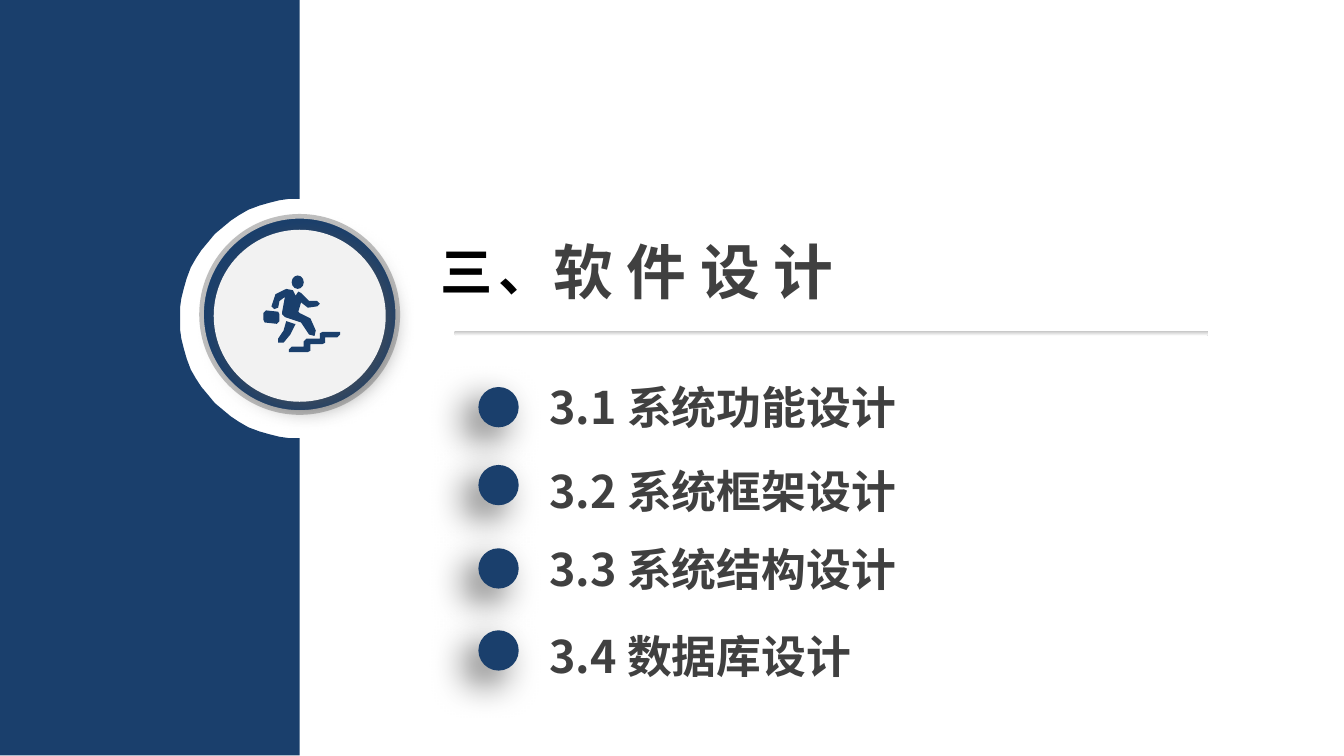
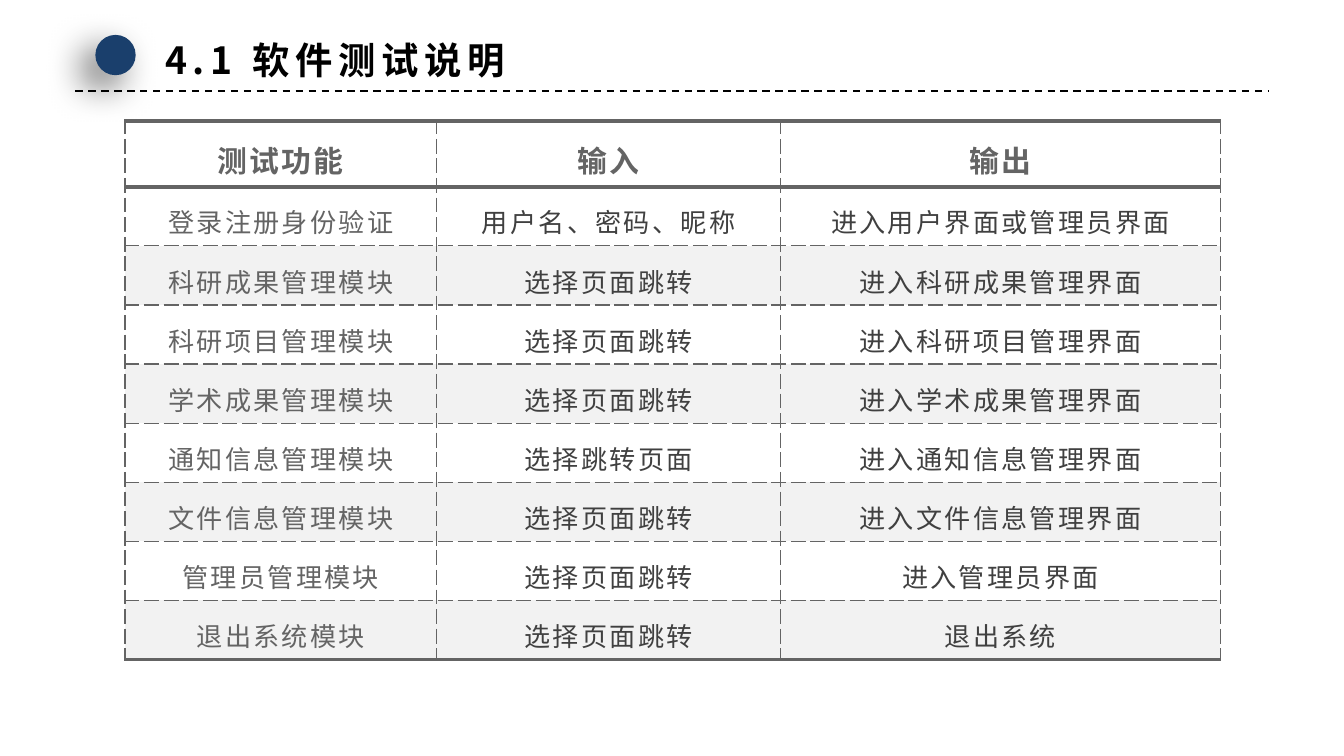
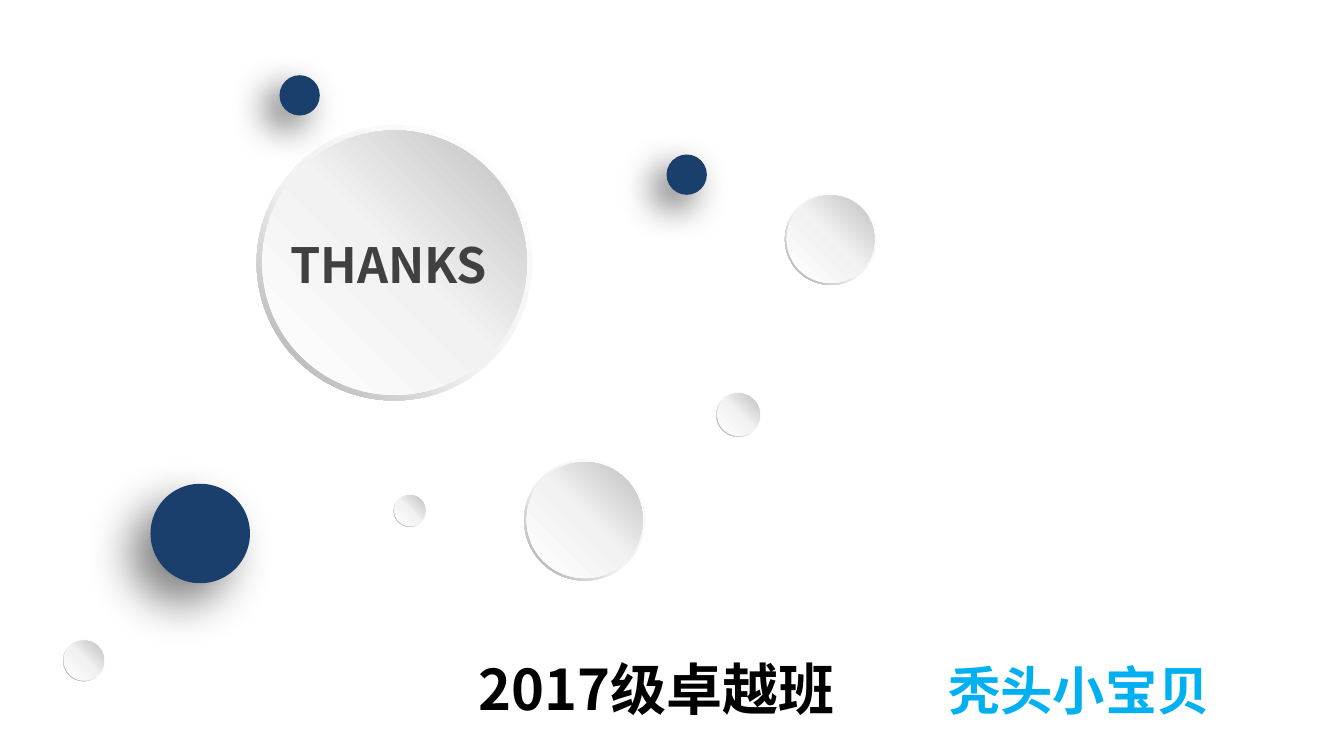
"""Builds a section opener, a test table and a closing slide."""
import math

import pptx
import pptx.dml.color
import pptx.enum.dml
import pptx.enum.shapes
import pptx.enum.text
import pptx.oxml.ns
import pptx.util
from lxml import etree

RGB = pptx.dml.color.RGBColor
SHAPE = pptx.enum.shapes.MSO_SHAPE
ALIGN = pptx.enum.text.PP_ALIGN
Pt = pptx.util.Pt
qn = pptx.oxml.ns.qn

PX = 9144
WIDTH, HEIGHT = 1000, 562
FONT = "Noto Sans CJK SC"

NAVY = RGB(0x1A, 0x3F, 0x6C)
WHITE = RGB(0xFF, 0xFF, 0xFF)
PALE = RGB(0xF2, 0xF2, 0xF2)
SILVER = RGB(0xBF, 0xBF, 0xBF)
STEEL = RGB(0xA6, 0xA6, 0xA6)
GREY = RGB(0x64, 0x64, 0x64)
DARK = RGB(0x40, 0x40, 0x40)
SHADE = RGB(0x52, 0x52, 0x52)
BLACK = RGB(0, 0, 0)
SKY = RGB(0x00, 0xB0, 0xF0)

DOT = 30
DOT_SHADOW = (BLACK, 60, 20, 10, 135)
LARGE_DOT_SHADOW = (BLACK, 50, 25, 15, 135)
MEDAL_SHADOW = (SHADE, 64, 12, 5, 45)
RIM = [(0, WHITE), (55, PALE), (100, STEEL)]
FACE = [(0, WHITE), (51, PALE), (100, SILVER)]

BAND_RIGHT = 223
BAY_MIDDLE, BAY_RADIUS = 237, 89
SECTIONS = [
    ("3.1 系统功能设计", 288, 278),
    ("3.2 系统框架设计", 346, 340),
    ("3.3 系统结构设计", 408, 398),
    ("3.4 数据库设计", 469, 463),
]
HEAD = (217, 205, 9, 10)
STAIRS = [
    (217, 258), (226, 258), (226, 254), (228, 252), (238, 252), (238, 248),
    (240, 247), (253, 247), (253, 249), (251, 251), (242, 251), (242, 255),
    (240, 256), (231, 256), (231, 261), (229, 262), (215, 262), (215, 260),
]
BRIEFCASE = [
    (197, 240), (206, 241), (208, 239), (208, 234),
    (207, 232), (198, 231), (196, 233), (196, 238),
]
BACK_LEG = [
    (207, 252), (211, 246), (213, 239), (219, 241),
    (220, 241), (216, 249), (211, 255), (207, 255),
]
BODY = [
    (222, 217), (224, 218), (230, 224), (236, 224), (238, 226), (236, 228),
    (229, 229), (224, 225), (222, 232), (223, 233), (231, 237), (235, 246),
    (234, 250), (230, 249), (224, 240), (212, 236), (210, 234), (210, 232),
    (212, 221), (208, 224), (207, 229), (204, 230), (202, 228), (205, 219),
    (213, 215), (218, 216), (220, 220),
]

COLUMNS = [232, 256, 327]
HEADER_HEIGHT, ROW_HEIGHT = 49, 44
TESTS = [
    ("测试功能", "输入", "输出"),
    ("登录注册身份验证", "用户名、密码、昵称", "进入用户界面或管理员界面"),
    ("科研成果管理模块", "选择页面跳转", "进入科研成果管理界面"),
    ("科研项目管理模块", "选择页面跳转", "进入科研项目管理界面"),
    ("学术成果管理模块", "选择页面跳转", "进入学术成果管理界面"),
    ("通知信息管理模块", "选择跳转页面", "进入通知信息管理界面"),
    ("文件信息管理模块", "选择页面跳转", "进入文件信息管理界面"),
    ("管理员管理模块", "选择页面跳转", "进入管理员界面"),
    ("退出系统模块", "选择页面跳转", "退出系统"),
]

BUTTONS = [
    (191, 93, 205), (533, 292, 33), (584, 144, 68),
    (293, 368, 24), (47, 476, 31), (390, 342, 90),
]
CLOSING_DOTS = [
    (112, 360, 74, LARGE_DOT_SHADOW),
    (208, 56, DOT, DOT_SHADOW),
    (496, 115, DOT, DOT_SHADOW),
]


def emu(*lengths):
    return [pptx.util.Emu(round(length * PX)) for length in lengths]


def add_tag(parent, tag, **attributes):
    return etree.SubElement(parent, qn(tag), {k: str(v) for k, v in attributes.items()})


def paint(shape, color, shadow=None):
    shape.fill.solid()
    shape.fill.fore_color.rgb = color
    shape.line.fill.background()
    shape.shadow.inherit = False
    if shadow:
        tint, opacity, blur, distance, angle = shadow
        effects = shape._element.spPr.find(qn("a:effectLst"))
        outer = add_tag(effects, "a:outerShdw", blurRad=Pt(blur), dist=Pt(distance),
                        dir=angle * 60000, algn="ctr", rotWithShape=0)
        add_tag(add_tag(outer, "a:srgbClr", val=tint), "a:alpha", val=opacity * 1000)


def shade(shape, stops, angle):
    shape.fill.gradient()
    shape.fill.gradient_angle = 360 - angle
    stop_list = shape._element.spPr.find(qn("a:gradFill")).find(qn("a:gsLst"))
    for stop in list(stop_list):
        stop_list.remove(stop)
    for position, color in stops:
        stop = add_tag(stop_list, "a:gs", pos=position * 1000)
        add_tag(stop, "a:srgbClr", val=color)


def add_figure(page, kind, frame, color=WHITE, shadow=None):
    shape = page.shapes.add_shape(kind, *emu(*frame))
    paint(shape, color, shadow)
    return shape


def add_outline(page, contours):
    builder = None
    for first, *others in contours:
        if builder is None:
            builder = page.shapes.build_freeform(*first, scale=PX)
        else:
            builder.move_to(*first)
        builder.add_line_segments(others, close=True)
    paint(builder.convert_to_shape(), NAVY)


def add_dot(page, left, top, size=DOT, shadow=DOT_SHADOW):
    add_figure(page, SHAPE.OVAL, (left, top, size, size), NAVY, shadow)


def set_font(font, size, color, bold=True, spacing=0):
    font.size = Pt(size)
    font.bold = bold
    font.color.rgb = color
    font.name = FONT
    add_tag(font._element, "a:ea", typeface=FONT)
    if spacing:
        font._element.set("spc", str(round(spacing * 100)))


def add_text(page, frame, text, size, color, spacing=0, wrap=True, inset=(10, 5)):
    box = page.shapes.add_textbox(*emu(*frame))
    area = box.text_frame
    area.word_wrap = wrap
    area.auto_size = pptx.enum.text.MSO_AUTO_SIZE.SHAPE_TO_FIT_TEXT
    area.margin_left, area.margin_top = area.margin_right, area.margin_bottom = emu(*inset)
    para = area.paragraphs[0]
    para.text = text
    set_font(para.font, size, color, spacing=spacing)


def build_section(page):
    add_figure(page, SHAPE.OVAL, (125, 137, 196, 196))
    ring = add_figure(page, SHAPE.OVAL, (150, 161, 146, 146), NAVY)
    ring.line.color.rgb = SILVER
    ring.line.width = Pt(2.5)
    add_figure(page, SHAPE.OVAL, (159, 171, 128, 128), PALE, MEDAL_SHADOW)

    turns = [math.radians(degrees) for degrees in range(0, 181, 5)]
    bay = [(BAND_RIGHT - BAY_RADIUS * math.sin(turn), BAY_MIDDLE - BAY_RADIUS * math.cos(turn))
           for turn in turns]
    add_outline(page, [[(0, 0), (BAND_RIGHT, 0), *bay, (BAND_RIGHT, HEIGHT), (0, HEIGHT)]])

    rule = add_figure(page, SHAPE.ROUNDED_RECTANGLE, (338, 246, 561, 4))
    rule.adjustments[0] = 0.5
    shade(rule, [(0, SILVER), (100, WHITE)], 90)
    add_text(page, (321, 174, 394, 55), "三、", 28, BLACK, spacing=3, inset=(7, 4))
    add_text(page, (402, 170, 590, 64), "软 件 设 计", 32, DARK)

    add_outline(page, [STAIRS])
    add_outline(page, [BRIEFCASE, BACK_LEG, BODY])
    add_figure(page, SHAPE.OVAL, HEAD, NAVY)
    for text, dot_top, text_top in SECTIONS:
        add_dot(page, 356, dot_top)
        add_text(page, (399, text_top, 319, 50), text, 24, DARK)


def set_borders(cell, heavy_top, heavy_bottom):
    properties = cell._tc.get_or_add_tcPr()
    sides = {"L": False, "R": False, "T": heavy_top, "B": heavy_bottom}
    for side, heavy in sides.items():
        line = add_tag(properties, "a:ln" + side, w=Pt(2.25 if heavy else 0.75))
        add_tag(add_tag(line, "a:solidFill"), "a:srgbClr", val=GREY)
        add_tag(line, "a:prstDash", val="solid" if heavy else "sysDash")


def fill_cell(cell, text, row, column):
    header = row == 0
    set_borders(cell, row < 2, row in (0, len(TESTS) - 1))
    cell.fill.solid()
    cell.fill.fore_color.rgb = PALE if row and row % 2 == 0 else WHITE
    cell.vertical_anchor = pptx.enum.text.MSO_ANCHOR.MIDDLE
    cell.margin_left, cell.margin_top = cell.margin_right, cell.margin_bottom = emu(19, 6)
    para = cell.text_frame.paragraphs[0]
    para.text = text
    para.alignment = ALIGN.CENTER
    para.line_spacing = 1.2
    color = GREY if header or column == 0 else DARK
    set_font(para.font, 16 if header else 14, color, bold=header, spacing=1.2)


def build_tests(page):
    rule = page.shapes.add_connector(pptx.enum.shapes.MSO_CONNECTOR.STRAIGHT,
                                     *emu(56, 68, 944, 68))
    rule.line.color.rgb = BLACK
    rule.line.width = Pt(1)
    rule.line.dash_style = pptx.enum.dml.MSO_LINE.DASH
    add_tag(rule._element.spPr, "a:effectLst")
    add_dot(page, 71, 26)
    add_text(page, (113, 23, 285, 44), "4.1 软件测试说明", 20, BLACK, spacing=3, wrap=False)

    heights = [HEADER_HEIGHT] + [ROW_HEIGHT] * (len(TESTS) - 1)
    table = page.shapes.add_table(len(TESTS), len(COLUMNS),
                                  *emu(93, 90, sum(COLUMNS), sum(heights))).table
    table.first_row = table.horz_banding = False
    for column, width in zip(table.columns, COLUMNS):
        column.width = emu(width)[0]
    for row, height in zip(table.rows, heights):
        row.height = emu(height)[0]
    for row, texts in enumerate(TESTS):
        for column, text in enumerate(texts):
            fill_cell(table.cell(row, column), text, row, column)


def add_button(page, left, top, size):
    rim = add_figure(page, SHAPE.DONUT, (left, top, size, size))
    rim.adjustments[0] = 0.05
    shade(rim, RIM, 135)
    inset = size * 0.02
    face_size = size - 2 * inset
    face = add_figure(page, SHAPE.OVAL, (left + inset, top + inset, face_size, face_size))
    shade(face, FACE, 315)


def add_signature(page):
    box = page.shapes.add_textbox(*emu(346, 482, 650, 60))
    box.text_frame.word_wrap = True
    para = box.text_frame.paragraphs[0]
    tabs = add_tag(para._p.get_or_add_pPr(), "a:tabLst")
    add_tag(tabs, "a:tab", pos=350 * PX, algn="l")
    for text, size, color in [("2017级卓越班\t", 30, BLACK), ("秃头小宝贝", 28, SKY)]:
        span = para.add_run()
        span.text = text
        set_font(span.font, size, color)


def build_closing(page):
    for button in BUTTONS:
        add_button(page, *button)
    for dot in CLOSING_DOTS:
        add_dot(page, *dot)
    add_text(page, (206, 170, 178, 54), "THANKS", 26, DARK, wrap=False)
    add_signature(page)


def main():
    deck = pptx.Presentation()
    deck.slide_width, deck.slide_height = emu(WIDTH, WIDTH * 9 / 16)
    for build in (build_section, build_tests, build_closing):
        build(deck.slides.add_slide(deck.slide_layouts[6]))
    deck.save("out.pptx")


if __name__ == "__main__":
    main()
